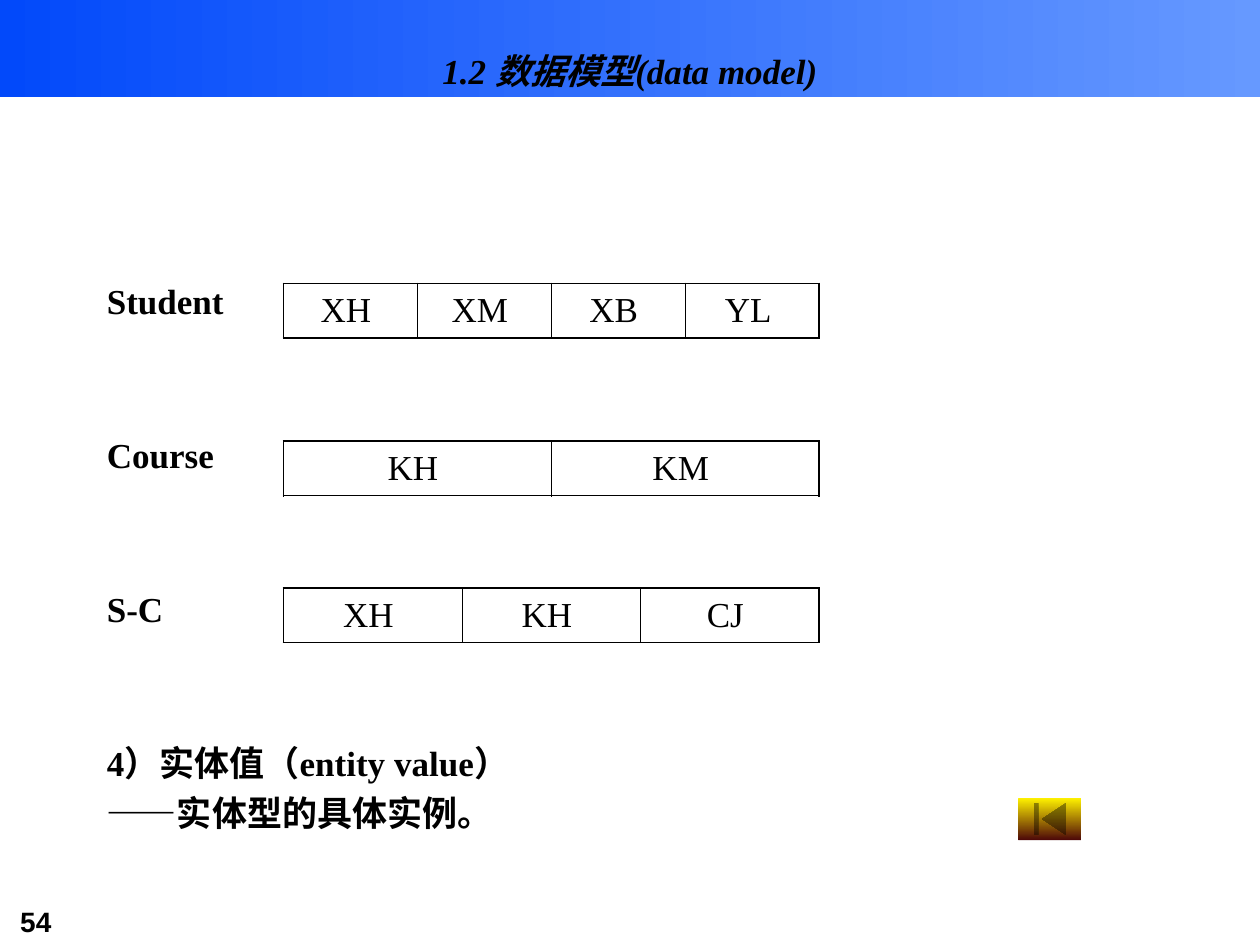
from lxml import etree
from pptx import Presentation
from pptx.dml.color import RGBColor
from pptx.enum.shapes import MSO_SHAPE
from pptx.enum.text import MSO_ANCHOR, PP_ALIGN
from pptx.oxml.ns import qn
from pptx.util import Pt

RECTANGLE = MSO_SHAPE.RECTANGLE
BACK_BUTTON = MSO_SHAPE.ACTION_BUTTON_BEGINNING
LEFT, CENTER, JUSTIFY = PP_ALIGN.LEFT, PP_ALIGN.CENTER, PP_ALIGN.JUSTIFY
TOP, MIDDLE = MSO_ANCHOR.TOP, MSO_ANCHOR.MIDDLE

COLORS = {
    "ink": "000000",
    "banner_start": "0249FA",
    "banner_end": "6699FF",
    "button_top": "FFF200",
    "button_bottom": "4D0808",
}
SERIF, SANS = "Times New Roman", "Arial"
OUTER_LINE, INNER_LINE = 1.08, 0.45
TABLE_LEFT, TABLE_WIDTH, TABLE_HEIGHT = 162, 306, 31

# Entity tables: top edge and attributes
TABLES = [
    (162, ["XH ", "XM ", "XB ", "YL "]),
    (252, ["KH ", "KM "]),
    (336, ["XH ", "KH ", "CJ "]),
]

# Body lines: space before and text
BODY_LINES = [
    (0, "Student"),
    (64, "Course "),
    (64, "S-C "),
    (64, "4）实体值（entity value）"),
    (5, "——实体型的具体实例。"),
]


def color(name):
    return RGBColor.from_string(COLORS[name])


def add_run(paragraph, text, size=20, font=SERIF, bold=True, italic=False):
    run = paragraph.add_run()
    run.text = text
    run.font.size = Pt(size)
    run.font.name = font
    run.font.bold = bold
    run.font.italic = italic
    run.font.color.rgb = color("ink")


def add_text(slide, box, lines, align=LEFT, anchor=TOP, **style):
    shape = slide.shapes.add_textbox(*(Pt(value) for value in box))
    frame = shape.text_frame
    frame.word_wrap = True
    frame.vertical_anchor = anchor
    for index, (space, text) in enumerate(lines):
        paragraph = frame.add_paragraph() if index else frame.paragraphs[0]
        paragraph.alignment = align
        paragraph.space_before = Pt(space)
        add_run(paragraph, text, **style)


def add_gradient_shape(slide, kind, box, start, end, angle):
    shape = slide.shapes.add_shape(kind, *(Pt(value) for value in box))
    shape.shadow.inherit = False
    shape.line.fill.background()
    shape.fill.gradient()
    shape.fill.gradient_angle = angle
    for stop, name, position in zip(shape.fill.gradient_stops, (start, end), (0, 1)):
        stop.color.rgb = color(name)
        stop.position = position


def set_borders(cell, widths):
    """Draw left, right, top and bottom borders, in that order."""
    properties = cell._tc.get_or_add_tcPr()
    for index, (tag, width) in enumerate(zip(("lnL", "lnR", "lnT", "lnB"), widths)):
        line = etree.Element(qn(f"a:{tag}"), w=str(int(Pt(width))))
        fill = etree.SubElement(line, qn("a:solidFill"))
        etree.SubElement(fill, qn("a:srgbClr"), val=COLORS["ink"])
        properties.insert(index, line)


def add_entity_table(slide, top, attributes):
    count = len(attributes)
    table = slide.shapes.add_table(
        1, count, Pt(TABLE_LEFT), Pt(top), Pt(TABLE_WIDTH), Pt(TABLE_HEIGHT)
    ).table
    table.first_row = False
    table.horz_banding = False
    for index, attribute in enumerate(attributes):
        table.columns[index].width = Pt(TABLE_WIDTH / count)
        cell = table.cell(0, index)
        cell.fill.background()
        cell.vertical_anchor = MIDDLE
        paragraph = cell.text_frame.paragraphs[0]
        paragraph.alignment = CENTER
        paragraph.space_before = Pt(5)
        add_run(paragraph, attribute, bold=False)
        left = INNER_LINE if index else OUTER_LINE
        right = INNER_LINE if index < count - 1 else OUTER_LINE
        set_borders(cell, (left, right, OUTER_LINE, OUTER_LINE))


def main():
    presentation = Presentation()
    presentation.slide_width, presentation.slide_height = Pt(720), Pt(540)
    slide = presentation.slides.add_slide(presentation.slide_layouts[6])

    # Banner, page number and title
    add_gradient_shape(slide, RECTANGLE, (0, 0, 720, 55.5),
                       "banner_start", "banner_end", 0)
    add_text(slide, (4.5, 513.5, 88, 26.5), [(0, "54")], size=16, font=SANS)
    add_text(slide, (54, 18, 612, 45), [(0, "1.2 数据模型(data model)")],
             align=CENTER, anchor=MIDDLE, italic=True)

    # Entity names and closing definition
    add_text(slide, (54, 156, 612, 324), BODY_LINES, align=JUSTIFY)

    # Back button
    add_gradient_shape(slide, BACK_BUTTON, (582, 456, 36, 24),
                       "button_top", "button_bottom", 270)

    # Entity tables
    for top, attributes in TABLES:
        add_entity_table(slide, top, attributes)

    presentation.save("out.pptx")


if __name__ == "__main__":
    main()
